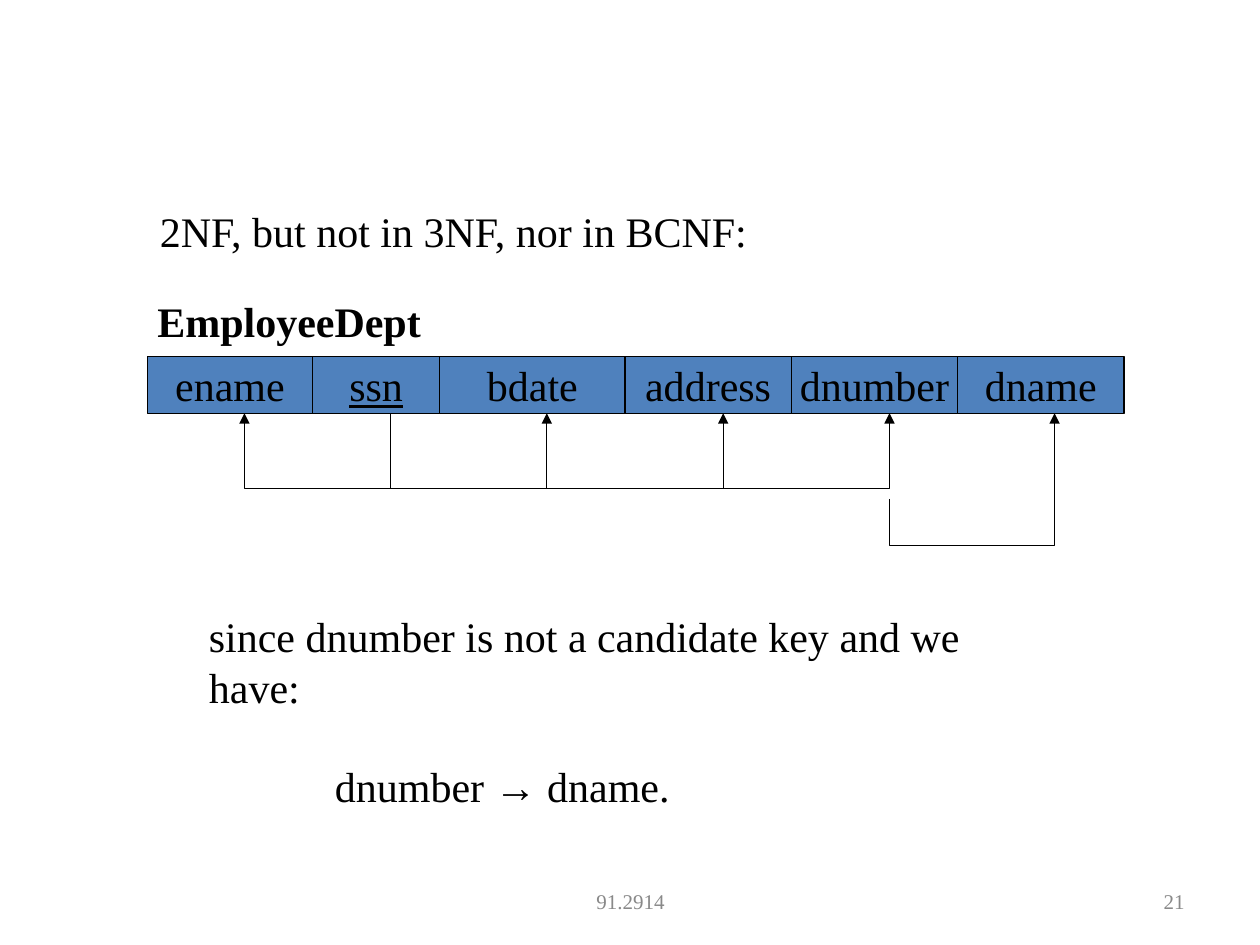
from dataclasses import dataclass
from itertools import pairwise

from lxml.etree import SubElement
from pptx import Presentation
from pptx.dml.color import RGBColor
from pptx.enum.shapes import MSO_SHAPE
from pptx.enum.text import MSO_ANCHOR, PP_ALIGN
from pptx.oxml.ns import qn
from pptx.slide import Slide
from pptx.util import Inches, Pt


def color(hex_value):
    return RGBColor.from_string(hex_value)


@dataclass
class Builder:
    slide: Slide
    font: str = "Times New Roman"
    size: int = 24
    ink: str = "000000"
    cell_fill: str = "4F81BD"
    line_width: float = 0.75

    def run(self, p, text, size=None, ink=None, font=None, bold=None, underline=None):
        r = p.add_run()
        r.text = text
        r.font.name = font or self.font
        r.font.size = Pt(size or self.size)
        r.font.color.rgb = color(ink or self.ink)
        r.font.bold = bold
        r.font.underline = underline

    def text_box(self, x, y, w, h, wrap=False):
        tf = self.slide.shapes.add_textbox(
            Inches(x), Inches(y), Inches(w), Inches(h)).text_frame
        tf.word_wrap = wrap
        return tf

    def footer(self, x, w, text, align):
        tf = self.text_box(x, 6.95, w, 0.4, wrap=True)
        tf.vertical_anchor = MSO_ANCHOR.MIDDLE
        p = tf.paragraphs[0]
        p.alignment = align
        self.run(p, text, size=12, ink="898989")

    def outline(self, sp):
        sp.shadow.inherit = False
        sp.line.color.rgb = color(self.ink)
        sp.line.width = Pt(self.line_width)

    def attribute(self, left, right, y, h, name, is_key):
        sp = self.slide.shapes.add_shape(
            MSO_SHAPE.RECTANGLE, Inches(left), Inches(y), Inches(right - left), Inches(h))
        sp.fill.solid()
        sp.fill.fore_color.rgb = color(self.cell_fill)
        self.outline(sp)
        tf = sp.text_frame
        tf.word_wrap = False
        tf.vertical_anchor = MSO_ANCHOR.MIDDLE
        p = tf.paragraphs[0]
        p.alignment = PP_ALIGN.CENTER
        self.run(p, name, underline=is_key or None)

    def dependency(self, x1, y1, bend_y, x2, y2):
        """Draw a square bracket from (x1, y1) to an arrowhead at (x2, y2)."""
        points = [(x1, bend_y), (x2, bend_y), (x2, y2)]
        fb = self.slide.shapes.build_freeform(Inches(x1), Inches(y1))
        fb.add_line_segments([(Inches(x), Inches(y)) for x, y in points], close=False)
        sp = fb.convert_to_shape()
        sp.fill.background()
        self.outline(sp)
        SubElement(sp.line._get_or_add_ln(), qn("a:tailEnd"), type="triangle")


def main():
    prs = Presentation()
    prs.slide_width, prs.slide_height = Inches(10), Inches(7.5)
    s = Builder(prs.slides.add_slide(prs.slide_layouts[6]))

    s.footer(3.42, 3.17, "91.2914", PP_ALIGN.CENTER)
    s.footer(7.17, 2.33, "21", PP_ALIGN.RIGHT)

    tf = s.text_box(1.17, 1.58, 4.91, 0.5)
    s.run(tf.paragraphs[0], "2NF, but not in 3NF, nor in BCNF:")

    tf = s.text_box(1.56, 4.8, 6.96, 1.3)
    s.run(tf.paragraphs[0], "since dnumber is not a candidate key and we have:")
    p = tf.add_paragraph()
    p.space_before = Pt(28)
    p._p.get_or_add_pPr().set("marL", str(Inches(1)))
    s.run(p, "dnumber ")
    s.run(p, "→", font="Arial")
    s.run(p, " dname.")

    tf = s.text_box(1.15, 2.3, 2.58, 0.5, wrap=True)
    s.run(tf.paragraphs[0], "EmployeeDept", bold=True)

    top, height = 2.83, 0.45
    bottom = top + height
    names = ["ename", "ssn", "bdate", "address", "dnumber", "dname"]
    edges = [1.17, 2.48, 3.49, 4.96, 6.28, 7.6, 8.92]
    for name, (left, right) in zip(names, pairwise(edges)):
        s.attribute(left, right, top, height, name, is_key=name == "ssn")

    ssn_x, dnumber_x, dname_x = 3.1, 7.06, 8.37
    for x in (1.94, 4.34, dnumber_x, 5.74):
        s.dependency(ssn_x, bottom, 3.88, x, bottom)
    s.dependency(dnumber_x, 3.96, 4.33, dname_x, bottom)

    prs.save("out.pptx")


if __name__ == "__main__":
    main()
